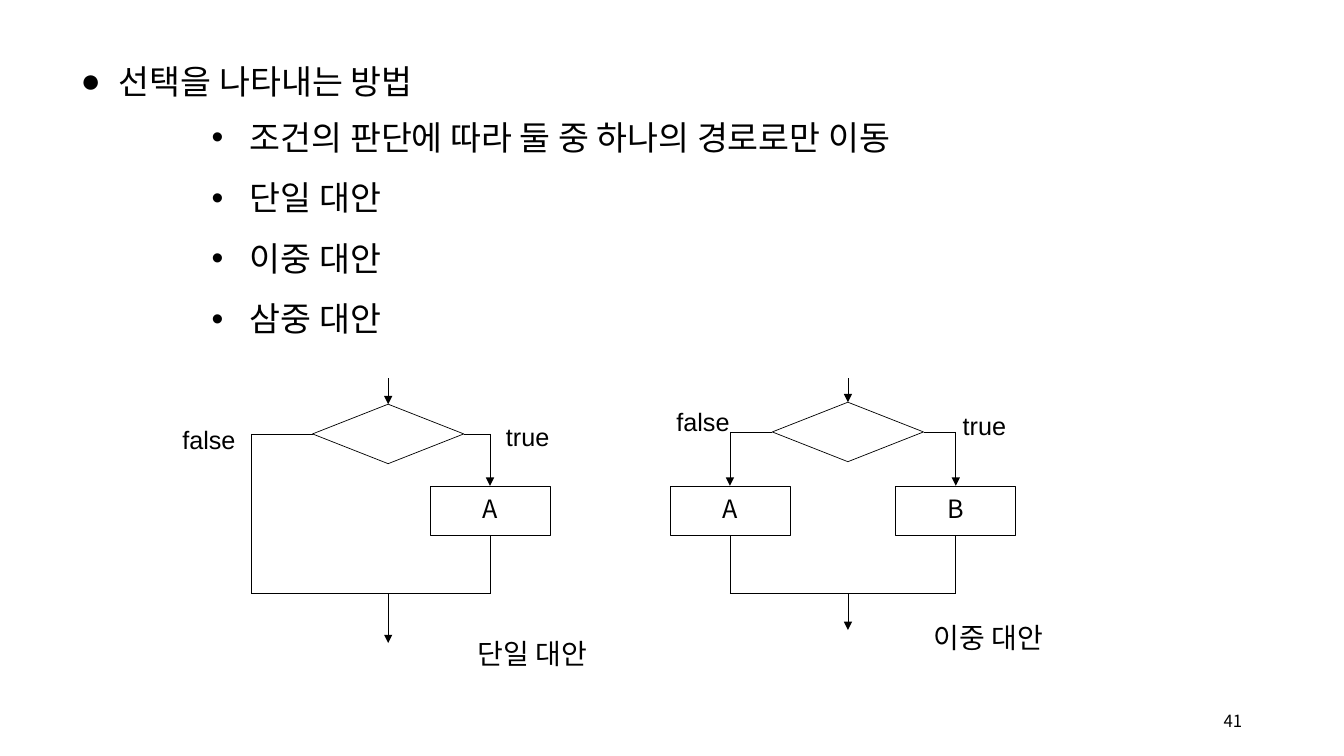
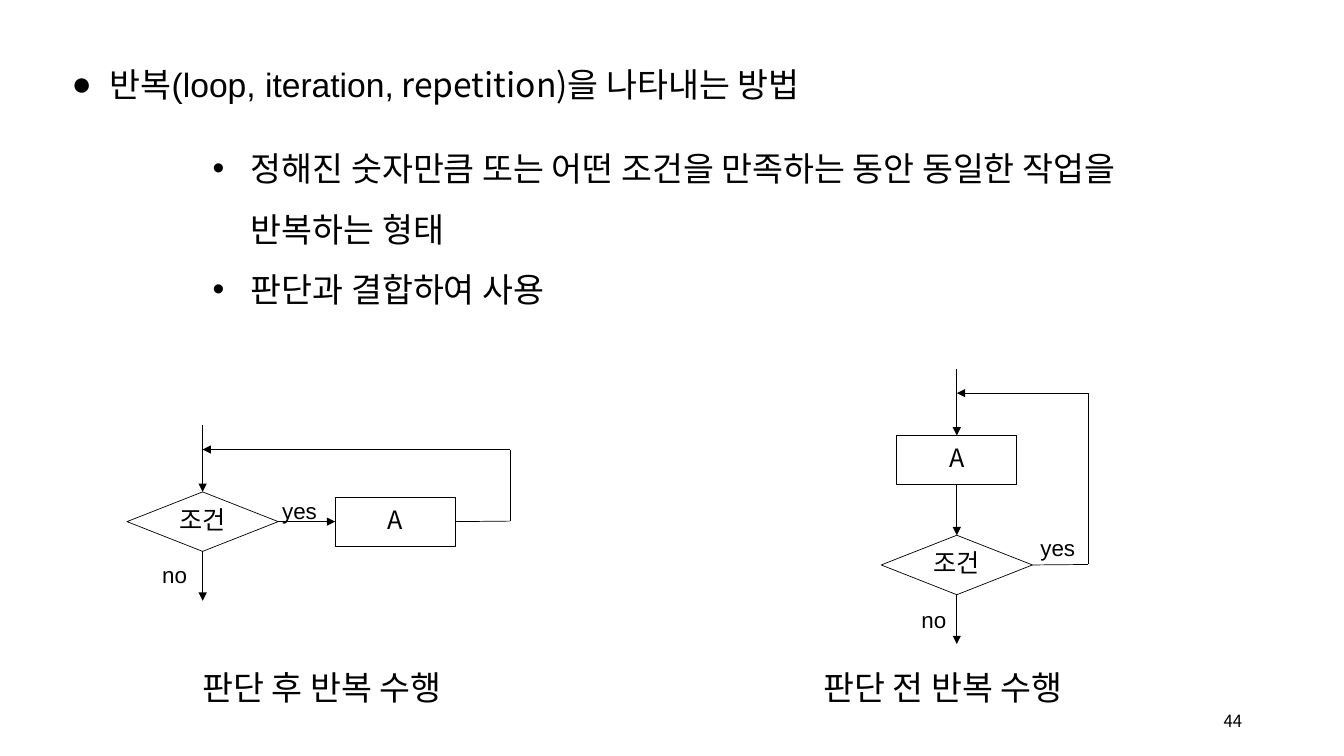
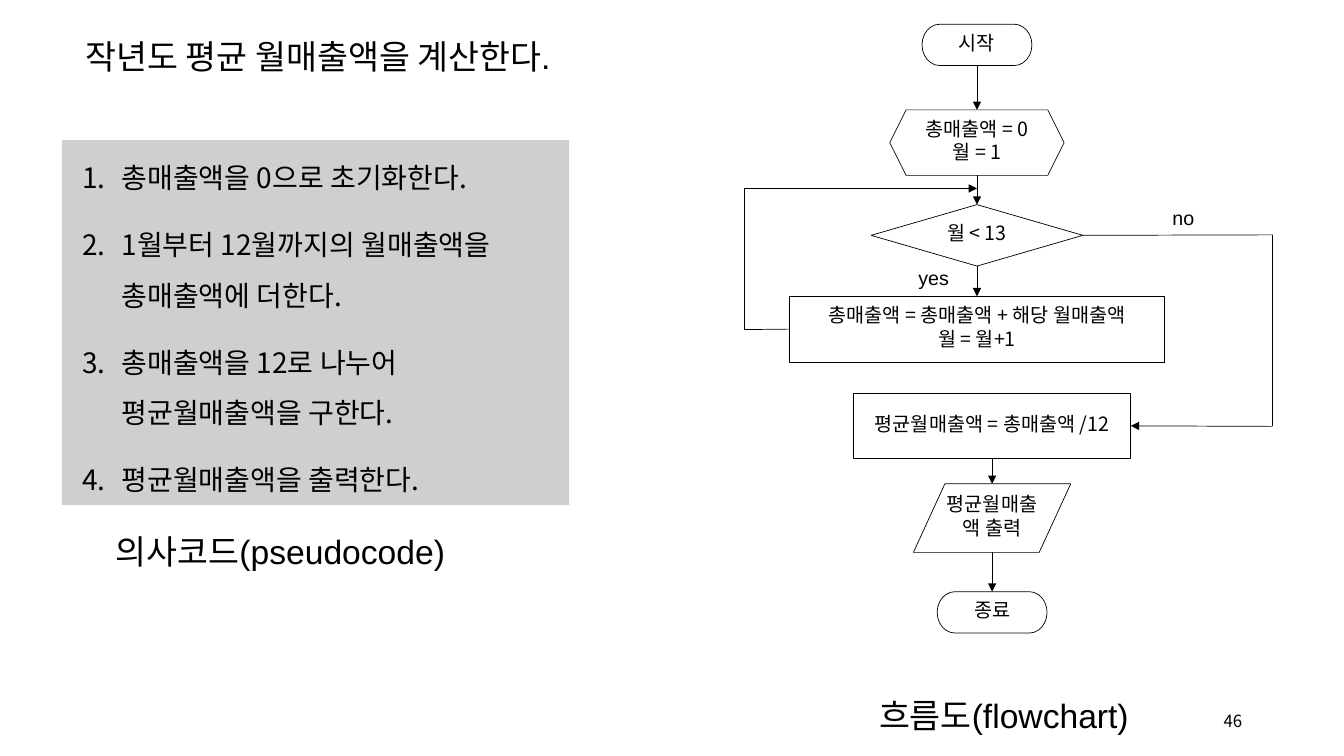
from dataclasses import dataclass
from itertools import pairwise

from lxml import etree
from pptx import Presentation
from pptx.dml.color import RGBColor
from pptx.enum.shapes import MSO_CONNECTOR, MSO_SHAPE
from pptx.enum.text import MSO_ANCHOR, MSO_AUTO_SIZE, PP_ALIGN
from pptx.oxml.ns import qn
from pptx.util import Inches, Pt

STRAIGHT = MSO_CONNECTOR.STRAIGHT
RECTANGLE = MSO_SHAPE.RECTANGLE
PROCESS = MSO_SHAPE.FLOWCHART_PROCESS
DECISION = MSO_SHAPE.FLOWCHART_DECISION
TERMINATOR = MSO_SHAPE.FLOWCHART_TERMINATOR
OUTPUT = MSO_SHAPE.FLOWCHART_DATA
HEXAGON = MSO_SHAPE.HEXAGON
LEFT, CENTER, RIGHT = PP_ALIGN.LEFT, PP_ALIGN.CENTER, PP_ALIGN.RIGHT
TOP, MIDDLE = MSO_ANCHOR.TOP, MSO_ANCHOR.MIDDLE
GROW, FIXED = MSO_AUTO_SIZE.SHAPE_TO_FIT_TEXT, MSO_AUTO_SIZE.NONE
TITLE_ONLY = 5
TOP_SIDE, LEFT_SIDE, BOTTOM_SIDE, RIGHT_SIDE = range(4)


@dataclass(frozen=True)
class Theme:
    ink: RGBColor = RGBColor(0x00, 0x00, 0x00)
    panel: RGBColor = RGBColor(0xD0, 0xCE, 0xCE)
    latin: str = "Arial"
    korean: str = "Noto Sans CJK KR"
    heading: int = 24
    caption: int = 20
    node: int = 18
    answer: int = 16
    small: int = 14
    page: int = 12
    line: float = 0.5
    spacing: float = 1.5


THEME = Theme()
PROCESS_EXTENT = (1.19, 0.49)
DECISION_EXTENT = (1.5, 0.59)
TERMINATOR_EXTENT = (1.09, 0.41)


@dataclass(frozen=True)
class Port:
    """The middle of one side of a node."""
    node: object
    side: int

    @property
    def point(self):
        across = (1, 0, 1, 2)[self.side]
        down = (0, 1, 2, 1)[self.side]
        return (self.node.left + self.node.width * across // 2,
                self.node.top + self.node.height * down // 2)


# Text
def write(frame, paragraphs, size=THEME.heading, font=THEME.latin, align=LEFT,
          spacing=None, before=0, bullet=None, hanging=0.38, indent=0.38):
    """Fill a frame; a paragraph is a string or a list of (text, font) runs."""
    for i, content in enumerate(paragraphs):
        paragraph = frame.add_paragraph() if i else frame.paragraphs[0]
        paragraph.alignment = align
        if spacing:
            paragraph.line_spacing = spacing
        if before and i:
            paragraph.space_before = Pt(before)
        if bullet:
            props = paragraph._p.get_or_add_pPr()
            props.set("marL", str(Inches(indent)))
            props.set("indent", str(-Inches(hanging)))
            if bullet == "1.":
                etree.SubElement(props, qn("a:buAutoNum"), type="arabicPeriod")
            else:
                etree.SubElement(props, qn("a:buFont"), typeface=THEME.latin)
                etree.SubElement(props, qn("a:buChar"), char=bullet)
        runs = [(content, font)] if isinstance(content, str) else content
        for text, typeface in runs:
            run = paragraph.add_run()
            run.text = text
            run.font.size = Pt(size)
            run.font.color.rgb = THEME.ink
            run.font.name = typeface
            etree.SubElement(run._r.get_or_add_rPr(), qn("a:ea"),
                             typeface=THEME.korean)


def add_text(slide, paragraphs, left, top, width, height, wrap=True,
             anchor=TOP, grow=True, **text_format):
    box = slide.shapes.add_textbox(*map(Inches, (left, top, width, height)))
    frame = box.text_frame
    frame.word_wrap = wrap
    frame.auto_size = GROW if grow else FIXED
    frame.vertical_anchor = anchor
    write(frame, paragraphs, **text_format)


def add_label(slide, text, left, top, width, size):
    add_text(slide, [text], left, top, width, 0.1 + size / 40, wrap=False,
             size=size, spacing=THEME.spacing)


def add_slide(prs, page, heading, left, top, width, **text_format):
    slide = prs.slides.add_slide(prs.slide_layouts[TITLE_ONLY])
    title = slide.shapes.title
    title.left, title.top, title.width, title.height = map(
        Inches, (left, top, width, 0.71))
    frame = title.text_frame
    frame.word_wrap = True
    frame.auto_size = FIXED
    frame.vertical_anchor = TOP
    write(frame, [heading], spacing=THEME.spacing, **text_format)
    add_text(slide, [str(page)], 11.94, 6.95, 0.48, 0.4, anchor=MIDDLE,
             grow=False, size=THEME.page, font=THEME.korean, align=RIGHT)
    return slide


# Flowchart parts
def add_node(slide, kind, center, top, extent, paragraphs=(), fill=None,
             **text_format):
    width, height = extent
    node = slide.shapes.add_shape(
        kind, *map(Inches, (center - width / 2, top, width, height)))
    node.shadow.inherit = False
    if fill:
        node.fill.solid()
        node.fill.fore_color.rgb = fill
        node.line.fill.background()
    else:
        node.fill.background()
        node.line.color.rgb = THEME.ink
        node.line.width = Pt(THEME.line)
    frame = node.text_frame
    frame.word_wrap = True
    frame.vertical_anchor = MIDDLE
    frame.margin_left = frame.margin_top = frame.margin_right = 0
    frame.margin_bottom = Inches(0.05)
    write(frame, paragraphs, **{"size": THEME.node, "font": THEME.korean,
                                "align": CENTER, **text_format})
    return node


def add_path(slide, *stops, arrow=True):
    """Straight lines through ports and (x, y) points, in inches."""
    def place(stop):
        return stop.point if isinstance(stop, Port) else map(Inches, stop)

    for start, end in pairwise(stops):
        line = slide.shapes.add_connector(STRAIGHT, *place(start), *place(end))
        if isinstance(start, Port):
            line.begin_connect(start.node, start.side)
        if isinstance(end, Port):
            line.end_connect(end.node, end.side)
        line.line.color.rgb = THEME.ink
        line.line.width = Pt(THEME.line)
        if arrow and end is stops[-1]:
            etree.SubElement(line.line._get_or_add_ln(), qn("a:tailEnd"),
                             type="triangle")
        etree.SubElement(line._element.spPr, qn("a:effectLst"))


def add_selection(slide, center, top, exit_y, false_branch, true_branch):
    """A decision whose two (x, text) branches meet again below."""
    box_top, merge_y = 4.82, 5.89
    middle = top + DECISION_EXTENT[1] / 2
    decision = add_node(slide, DECISION, center, top, DECISION_EXTENT)
    add_path(slide, (center, 3.75), Port(decision, TOP_SIDE))
    for side, (x, text) in ((LEFT_SIDE, false_branch),
                            (RIGHT_SIDE, true_branch)):
        start = Port(decision, side)
        if text:
            box = add_node(slide, RECTANGLE, x, box_top, PROCESS_EXTENT, [text])
            add_path(slide, start, (x, middle), Port(box, TOP_SIDE))
            add_path(slide, Port(box, BOTTOM_SIDE), (x, merge_y), arrow=False)
        else:
            add_path(slide, start, (x, middle), (x, merge_y), arrow=False)
    add_path(slide, (false_branch[0], merge_y), (true_branch[0], merge_y),
             arrow=False)
    add_path(slide, (center, merge_y), (center, exit_y))


# Slides
def build_selection(prs):
    slide = add_slide(prs, 41, "선택을 나타내는 방법", 0.2, 0.35, 4.3,
                      bullet="●", indent=0.88)
    add_text(slide, ["조건의 판단에 따라 둘 중 하나의 경로로만 이동",
                     "단일 대안", "이중 대안", "삼중 대안"],
             2, 0.91, 7.63, 2.52, spacing=THEME.spacing, bullet="•")

    add_selection(slide, 3.85, 4.01, 6.38, (2.49, None), (4.86, "A"))
    add_selection(slide, 8.41, 3.99, 6.25, (7.24, "A"), (9.48, "B"))

    for text, left, top in (("단일 대안", 4.64, 6.1), ("이중 대안", 9.16, 5.94)):
        add_label(slide, text, left, top, 1.4, THEME.caption)
    for text, left, top, width in (("true", 4.92, 3.98, 0.64),
                                   ("false", 1.71, 4.01, 0.73),
                                   ("true", 9.45, 3.87, 0.64),
                                   ("false", 6.61, 3.83, 0.73)):
        add_label(slide, text, left, top, width, THEME.node)


def build_repetition(prs):
    heading = [("반복(loop, iteration,", THEME.latin),
               (" repetition)을 나타내는 방법", THEME.korean)]
    slide = add_slide(prs, 44, heading, 0.11, 0.38, 9.54,
                      bullet="●", indent=0.88)
    add_text(slide, ["정해진 숫자만큼 또는 어떤 조건을 만족하는 동안 동일한 작업을 반복하는 형태",
                     "판단과 결합하여 사용"],
             2.01, 1.22, 9.15, 1.92, font=THEME.korean,
             spacing=THEME.spacing, bullet="•")

    # Condition first, then the task
    x, back_x, back_y = 2.01, 5.06, 4.46
    condition = add_node(slide, DECISION, x, 4.88, DECISION_EXTENT, ["조건"])
    task = add_node(slide, RECTANGLE, 3.92, 4.93, PROCESS_EXTENT, ["A"])
    add_path(slide, (x, 4.22), Port(condition, TOP_SIDE))
    add_path(slide, Port(condition, BOTTOM_SIDE), (x, 5.96))
    add_path(slide, Port(condition, RIGHT_SIDE), Port(task, LEFT_SIDE))
    add_path(slide, Port(task, RIGHT_SIDE), (back_x, 5.17),
             (back_x, back_y), (x, back_y))

    # Task first, then the condition
    x, back_x, back_y = 9.49, 10.79, 3.9
    task = add_node(slide, RECTANGLE, x, 4.32, PROCESS_EXTENT, ["A"])
    condition = add_node(slide, DECISION, x, 5.31, DECISION_EXTENT, ["조건"])
    add_path(slide, (x, 3.66), Port(task, TOP_SIDE))
    add_path(slide, Port(task, BOTTOM_SIDE), Port(condition, TOP_SIDE))
    add_path(slide, Port(condition, BOTTOM_SIDE), (x, 6.39))
    add_path(slide, Port(condition, RIGHT_SIDE), (back_x, 5.6),
             (back_x, back_y), (x, back_y))

    for text, left in (("판단 후 반복 수행", 1.91), ("판단 전 반복 수행", 8.07)):
        add_label(slide, text, left, 6.37, 2.84, THEME.heading)
    for text, left, top, width in (("yes", 2.7, 4.75, 0.55),
                                   ("yes", 10.22, 5.12, 0.55),
                                   ("no", 1.51, 5.38, 0.45),
                                   ("no", 9.04, 5.83, 0.45)):
        add_label(slide, text, left, top, width, THEME.answer)


def build_sales_example(prs):
    slide = add_slide(prs, 46, "작년도 평균 월매출액을 계산한다.",
                      0.75, 0.11, 5.38)

    # Pseudocode
    add_node(slide, RECTANGLE, 3.13, 1.39, (5.03, 3.62),
             ["총매출액을 0으로 초기화한다.",
              "1월부터 12월까지의 월매출액을 총매출액에 더한다.",
              "총매출액을 12로 나누어 평균월매출액을 구한다.",
              "평균월매출액을 출력한다."],
             fill=THEME.panel, size=THEME.caption, align=LEFT,
             spacing=THEME.spacing, before=12, bullet="1.", indent=0.59,
             hanging=0.39)
    add_label(slide, "의사코드(pseudocode)", 1.05, 5.02, 3.61, THEME.heading)

    # Flowchart nodes
    loop_x, result_x = 9.69, 9.84

    def step(kind, center, top, extent, *paragraphs):
        return add_node(slide, kind, center, top, extent, paragraphs,
                        size=THEME.small)

    start = step(TERMINATOR, loop_x, 0.24, TERMINATOR_EXTENT, "시작")
    step(HEXAGON, loop_x, 1.09, (1.73, 0.65), "총매출액 = 0", "월 = 1")
    month_check = step(DECISION, loop_x, 2.03, (2.1, 0.61), "월 < 13")
    add_month = step(PROCESS, loop_x, 2.94, (3.72, 0.65),
                     "총매출액 = 총매출액 + 해당 월매출액", "월 = 월+1")
    average = step(PROCESS, result_x, 3.9, (2.75, 0.65),
                   "평균월매출액 = 총매출액 /12")
    step(OUTPUT, result_x, 4.8, (1.56, 0.68), "평균월매출액 출력")
    finish = step(TERMINATOR, result_x, 5.87, TERMINATOR_EXTENT, "종료")

    # Flowchart arrows
    add_path(slide, Port(start, BOTTOM_SIDE), (loop_x, 1.09))
    add_path(slide, (loop_x, 1.74), Port(month_check, TOP_SIDE))
    add_path(slide, Port(month_check, BOTTOM_SIDE), Port(add_month, TOP_SIDE))
    add_path(slide, Port(average, BOTTOM_SIDE), (result_x, 4.8))
    add_path(slide, (result_x, 5.48), Port(finish, TOP_SIDE))
    add_path(slide, Port(month_check, RIGHT_SIDE), (12.62, 2.33),
             (12.62, 4.23), Port(average, RIGHT_SIDE))
    add_path(slide, Port(add_month, LEFT_SIDE), (7.38, 3.27),
             (7.38, 1.87), (loop_x, 1.87))

    add_label(slide, "yes", 9.01, 2.47, 0.51, THEME.small)
    add_label(slide, "no", 11.53, 1.88, 0.42, THEME.small)
    add_label(slide, "흐름도(flowchart)", 8.62, 6.64, 2.78, THEME.heading)


def main():
    prs = Presentation()
    prs.slide_width, prs.slide_height = Inches(13.33), Inches(7.5)
    build_selection(prs)
    build_repetition(prs)
    build_sales_example(prs)
    prs.save("out.pptx")


if __name__ == "__main__":
    main()
